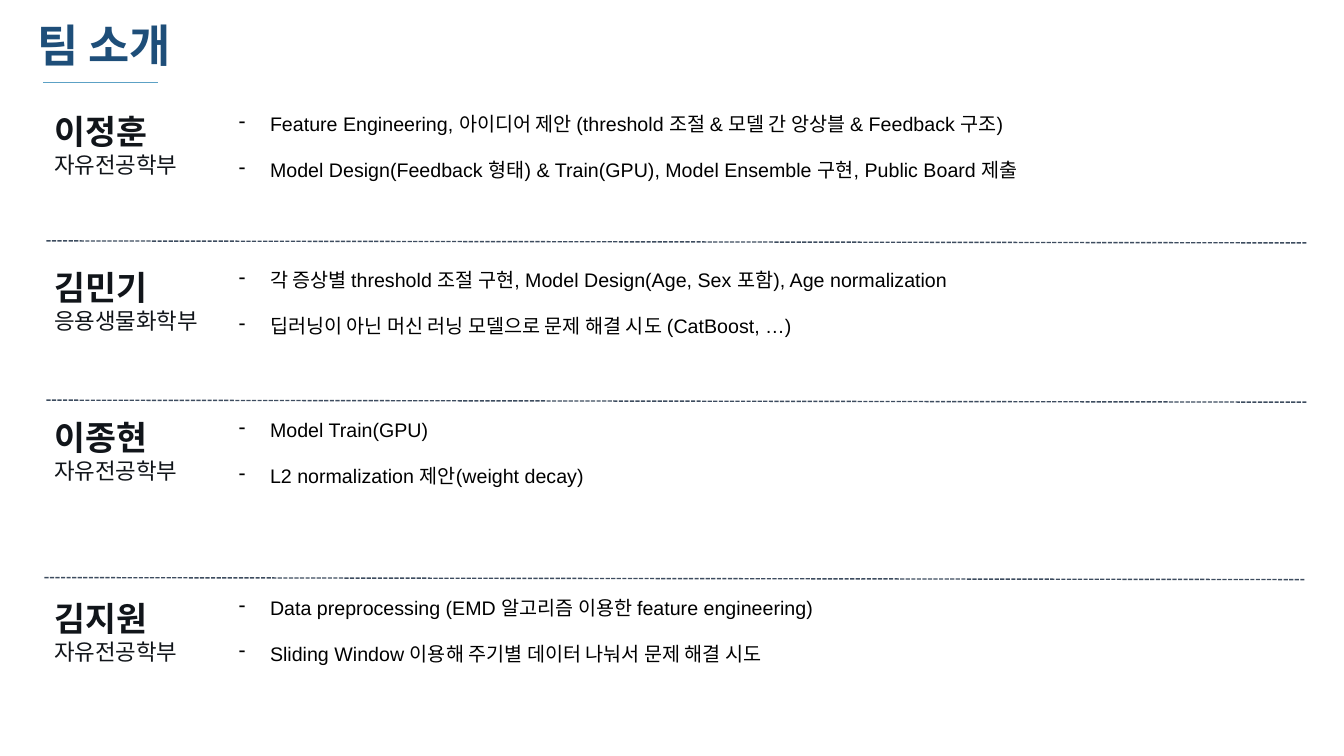
from dataclasses import dataclass

from lxml import etree
from pptx import Presentation
from pptx.dml.color import RGBColor
from pptx.enum import dml, shapes, text
from pptx.oxml import ns
from pptx.util import Inches, Pt


@dataclass(frozen=True)
class Theme:
    title = {"name": "Roboto", "size": Pt(32), "bold": True, "color": "1E4E79"}
    name = {"name": "Roboto", "size": Pt(24), "bold": True, "color": "11151A"}
    department = {"name": "Roboto", "size": Pt(16), "bold": False, "color": "11151A"}
    task = {"name": "Arial", "size": Pt(14), "bold": False, "color": "000000"}
    accent = "5CA1C5"
    divider = "3D4C5F"


def write(paragraph, words, style):
    run = paragraph.add_run()
    run.text = words
    for key, value in style.items():
        if key == "color":
            run.font.color.rgb = RGBColor.from_string(value)
        else:
            setattr(run.font, key, value)


def draw_line(start, end, color, width, dash=None):
    line = slide.shapes.add_connector(
        shapes.MSO_CONNECTOR.STRAIGHT, *map(Inches, start + end))
    line.line.color.rgb = RGBColor.from_string(color)
    line.line.width = Pt(width)
    if dash:
        line.line.dash_style = dash
    etree.SubElement(line._element.spPr, ns.qn("a:effectLst"))


theme = Theme()
presentation = Presentation()
presentation.slide_width = Inches(13.33)
presentation.slide_height = Inches(7.5)
slide = presentation.slides.add_slide(presentation.slide_layouts[5])

# Title and its underline
title = slide.shapes.title
title.left, title.top, title.width, title.height = map(Inches, (0.27, 0.2, 11.5, 0.56))
title.text_frame.auto_size = text.MSO_AUTO_SIZE.NONE
title.text_frame.vertical_anchor = text.MSO_ANCHOR.MIDDLE
heading = title.text_frame.paragraphs[0]
heading.alignment = text.PP_ALIGN.LEFT
heading.line_spacing = 0.9
write(heading, "팀 소개", theme.title)
draw_line((0.43, 0.82), (1.57, 0.82), theme.accent, 0.75)

# Dashed dividers between members
for left, top in ((0.46, 2.39), (0.46, 3.97), (0.44, 5.73)):
    draw_line((left, top), (left + 12.51, top + 0.02), theme.divider, 1,
              dml.MSO_LINE.SQUARE_DOT)

# Members: top of the block, name, department, tasks
members = [
    (1.05, "이정훈", "자유전공학부", [
        "Feature Engineering, 아이디어 제안 (threshold 조절 & 모델 간 앙상블 & Feedback 구조)",
        "Model Design(Feedback 형태) & Train(GPU), Model Ensemble 구현, Public Board 제출"]),
    (2.6, "김민기", "응용생물화학부", [
        "각 증상별 threshold 조절 구현, Model Design(Age, Sex 포함), Age normalization",
        "딥러닝이 아닌 머신 러닝 모델으로 문제 해결 시도 (CatBoost, …)"]),
    (4.09, "이종현", "자유전공학부", [
        "Model Train(GPU)",
        "L2 normalization 제안(weight decay)"]),
    (5.88, "김지원", "자유전공학부", [
        "Data preprocessing (EMD 알고리즘 이용한 feature engineering)",
        "Sliding Window 이용해 주기별 데이터 나눠서 문제 해결 시도"]),
]
for top, name, department, tasks in members:
    # Name above department
    person = slide.shapes.add_textbox(
        Inches(0.44), Inches(top), Inches(2.26), Inches(0.77)).text_frame
    person.word_wrap = True
    write(person.paragraphs[0], name, theme.name)
    write(person.add_paragraph(), department, theme.department)

    # Dashed list of tasks; the last block sits slightly higher
    task_top = 5.86 if name == "김지원" else top + 0.01
    work = slide.shapes.add_textbox(
        Inches(2.27), Inches(task_top), Inches(10.63), Inches(0.81)).text_frame
    work.word_wrap = True
    for index, task in enumerate(tasks):
        paragraph = work.add_paragraph() if index else work.paragraphs[0]
        if index:
            paragraph.space_before = Pt(16)
        write(paragraph, task, theme.task)
        properties = paragraph._p.get_or_add_pPr()
        properties.set("marL", str(Inches(0.31)))
        properties.set("indent", str(-Inches(0.31)))
        bullet_color = etree.SubElement(properties, ns.qn("a:buClr"))
        etree.SubElement(bullet_color, ns.qn("a:srgbClr"), val=theme.task["color"])
        etree.SubElement(properties, ns.qn("a:buChar"), char="-")

presentation.save("out.pptx")
